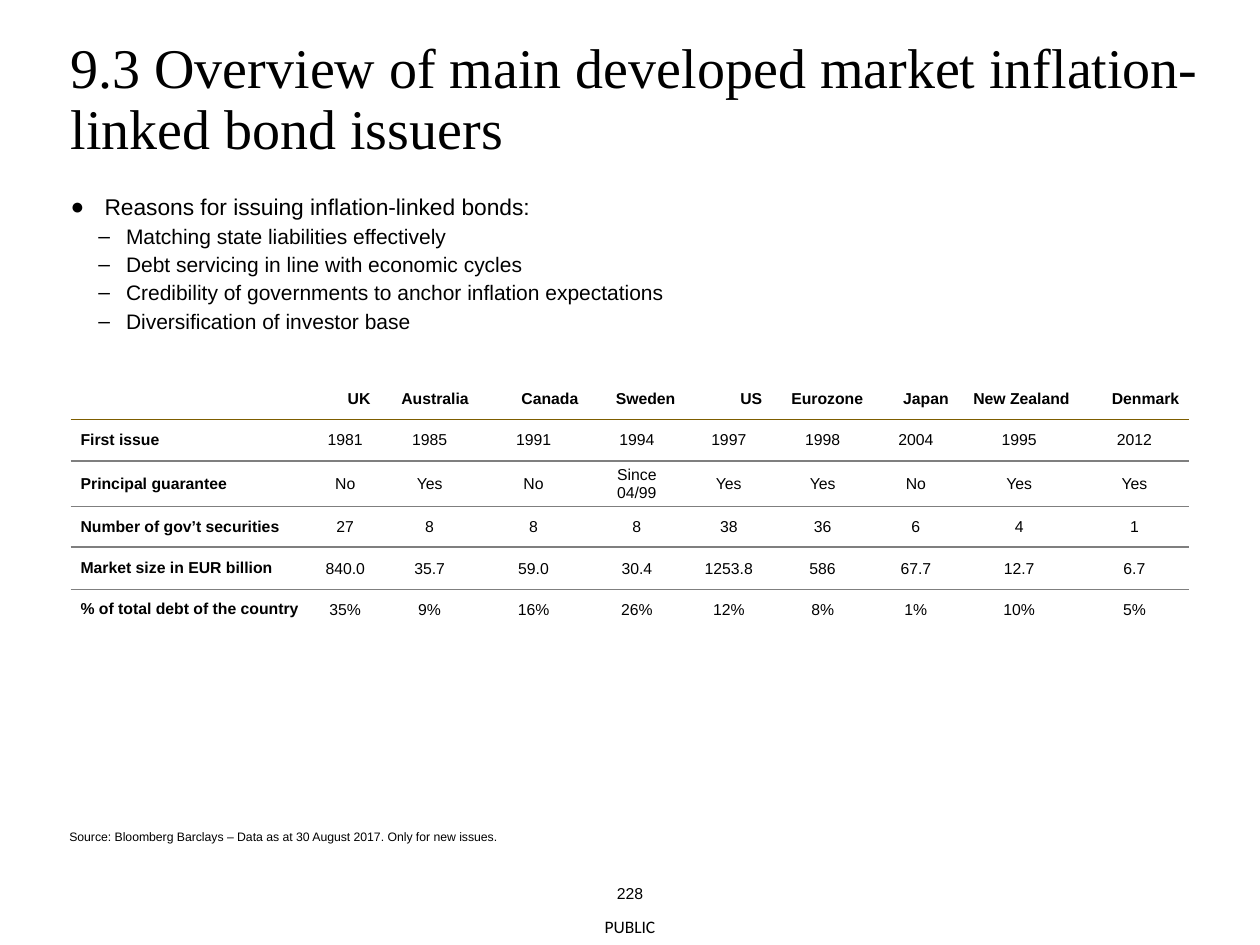
import pptx
import pptx.util
import pptx.dml.color
import pptx.enum.text
from lxml import etree
from pptx.oxml.ns import qn

Inches = pptx.util.Inches
Pt = pptx.util.Pt
ALIGN = pptx.enum.text.PP_ALIGN
MIDDLE = pptx.enum.text.MSO_ANCHOR.MIDDLE

COLORS = {"text": "000000", "cell": "FFFFFF", "header_rule": "7D5D00", "row_rule": "7F7F7F"}

REASONS = [
    "Matching state liabilities effectively",
    "Debt servicing in line with economic cycles",
    "Credibility of governments to anchor inflation expectations",
    "Diversification of investor base",
]

COLUMN_WIDTHS = [1.9, 0.56, 0.78, 0.87, 0.77, 0.69, 0.8, 0.68, 0.96, 0.87]
ROW_HEIGHTS = [0.32, 0.33, 0.36, 0.32, 0.34, 0.31]
ISSUERS = [
    ["", "UK", "Australia", "Canada", "Sweden", "US", "Eurozone", "Japan", "New Zealand", "Denmark"],
    ["First issue", "1981", "1985", "1991", "1994", "1997", "1998", "2004", "1995", "2012"],
    ["Principal guarantee", "No", "Yes", "No", "Since 04/99", "Yes", "Yes", "No", "Yes", "Yes"],
    ["Number of gov’t securities", "27", "8", "8", "8", "38", "36", "6", "4", "1"],
    ["Market size in EUR billion", "840.0", "35.7", "59.0", "30.4", "1253.8", "586", "67.7", "12.7", "6.7"],
    ["% of total debt of the country", "35%", "9%", "16%", "26%", "12%", "8%", "1%", "10%", "5%"],
]
WIDE_MARGINS = (0.08, 0.03, 0.08, 0.03)
TIGHT_MARGINS = (0.01, 0.01, 0.01, 0)


def rgb(name):
    return pptx.dml.color.RGBColor.from_string(COLORS[name])


def write(paragraph, text, size=9, font="Arial", bold=False, align=ALIGN.LEFT,
          line_spacing=None, space_before=0):
    paragraph.alignment = align
    paragraph.space_before = Pt(space_before)
    if line_spacing:
        paragraph.line_spacing = line_spacing
    if not text:
        # An empty paragraph takes its height from its end mark
        etree.SubElement(paragraph._p, qn("a:endParaRPr")).set("sz", str(size * 100))
        return
    run = paragraph.add_run()
    run.text = text
    run.font.size = Pt(size)
    run.font.name = font
    run.font.bold = bold
    run.font.color.rgb = rgb("text")


def set_margins(target, margins):
    (target.margin_left, target.margin_top,
     target.margin_right, target.margin_bottom) = map(Inches, margins)


def add_text_frame(slide, left, top, width, height, margins=(0, 0, 0, 0), anchor=None):
    shape = slide.shapes.add_textbox(Inches(left), Inches(top), Inches(width), Inches(height))
    frame = shape.text_frame
    frame.word_wrap = True
    set_margins(frame, margins)
    if anchor is not None:
        frame.vertical_anchor = anchor
    return frame


def set_bullet(paragraph, character, margin, hanging, level=0):
    paragraph.level = level
    properties = paragraph._p.get_or_add_pPr()
    properties.set("marL", str(Inches(margin)))
    properties.set("indent", str(-Inches(hanging)))
    etree.SubElement(properties, qn("a:buFont")).set("typeface", "Arial")
    etree.SubElement(properties, qn("a:buChar")).set("char", character)


def add_reasons(slide):
    frame = add_text_frame(slide, 0.56, 1.51, 8.89, 5.07, margins=(0, 0.02, 0, 0))
    heading = frame.paragraphs[0]
    set_bullet(heading, "●", 0.27, 0.27)
    write(heading, "Reasons for issuing inflation-linked bonds:", size=13)
    for reason in REASONS:
        paragraph = frame.add_paragraph()
        set_bullet(paragraph, "–", 0.44, 0.22, level=1)
        write(paragraph, reason, size=12, space_before=1.8)


def set_borders(cell, top, bottom):
    """Draw the rules above and below a cell; None means no line."""
    properties = cell._tc.get_or_add_tcPr()
    sides = [("a:lnL", None), ("a:lnR", None), ("a:lnT", top), ("a:lnB", bottom)]
    for index, (tag, color) in enumerate(sides):
        line = etree.Element(qn(tag), w=str(Pt(1)))
        if color:
            fill = etree.SubElement(line, qn("a:solidFill"))
            etree.SubElement(fill, qn("a:srgbClr")).set("val", COLORS[color])
        else:
            etree.SubElement(line, qn("a:noFill"))
        properties.insert(index, line)


def add_issuer_table(slide):
    row_count, column_count = len(ISSUERS), len(COLUMN_WIDTHS)
    table = slide.shapes.add_table(
        row_count, column_count, Inches(0.56), Inches(3.01),
        Inches(sum(COLUMN_WIDTHS)), Inches(sum(ROW_HEIGHTS))).table
    for column, width in zip(table.columns, COLUMN_WIDTHS):
        column.width = Inches(width)
    for row, height in zip(table.rows, ROW_HEIGHTS):
        row.height = Inches(height)

    # One rule between each pair of rows, none around the table
    rules = [None, "header_rule"] + ["row_rule"] * (row_count - 2) + [None]
    for row_index, values in enumerate(ISSUERS):
        for column_index, value in enumerate(values):
            cell = table.cell(row_index, column_index)
            is_header, is_label = row_index == 0, column_index == 0
            cell.vertical_anchor = MIDDLE
            set_margins(cell, TIGHT_MARGINS if row_index > 2 and not is_label else WIDE_MARGINS)
            cell.fill.solid()
            cell.fill.fore_color.rgb = rgb("cell")
            set_borders(cell, rules[row_index], rules[row_index + 1])
            align = ALIGN.LEFT if is_label else ALIGN.RIGHT if is_header else ALIGN.CENTER
            write(cell.text_frame.paragraphs[0], value, bold=is_header or is_label, align=align)


def main():
    presentation = pptx.Presentation()
    presentation.slide_width = Inches(10)
    presentation.slide_height = Inches(7.5)
    slide = presentation.slides.add_slide(presentation.slide_layouts[6])

    # Title
    title = add_text_frame(slide, 0.56, 0.32, 9.41, 0.75, margins=(0, 0, 0, 0.02))
    write(title.paragraphs[0], "9.3 Overview of main developed market inflation-linked bond issuers",
          size=32, font="Times New Roman", line_spacing=0.9)

    # Reasons and issuer table
    add_reasons(slide)
    add_issuer_table(slide)

    # Source line
    source = add_text_frame(slide, 0.46, 6.53, 5.81, 0.21, margins=(0.09, 0.05, 0.09, 0.05))
    write(source.paragraphs[0],
          "Source: Bloomberg Barclays – Data as at 30 August 2017. Only for new issues.", size=7)

    # Page number and classification
    number = add_text_frame(slide, 4.85, 7, 0.3, 0.18, anchor=MIDDLE)
    write(number.paragraphs[0], "228", align=ALIGN.CENTER)
    label = add_text_frame(slide, 4.65, 7.21, 0.7, 0.29, anchor=MIDDLE)
    write(label.paragraphs[0], "PUBLIC", size=10, font="Calibri", align=ALIGN.CENTER)

    presentation.save("out.pptx")


if __name__ == "__main__":
    main()
